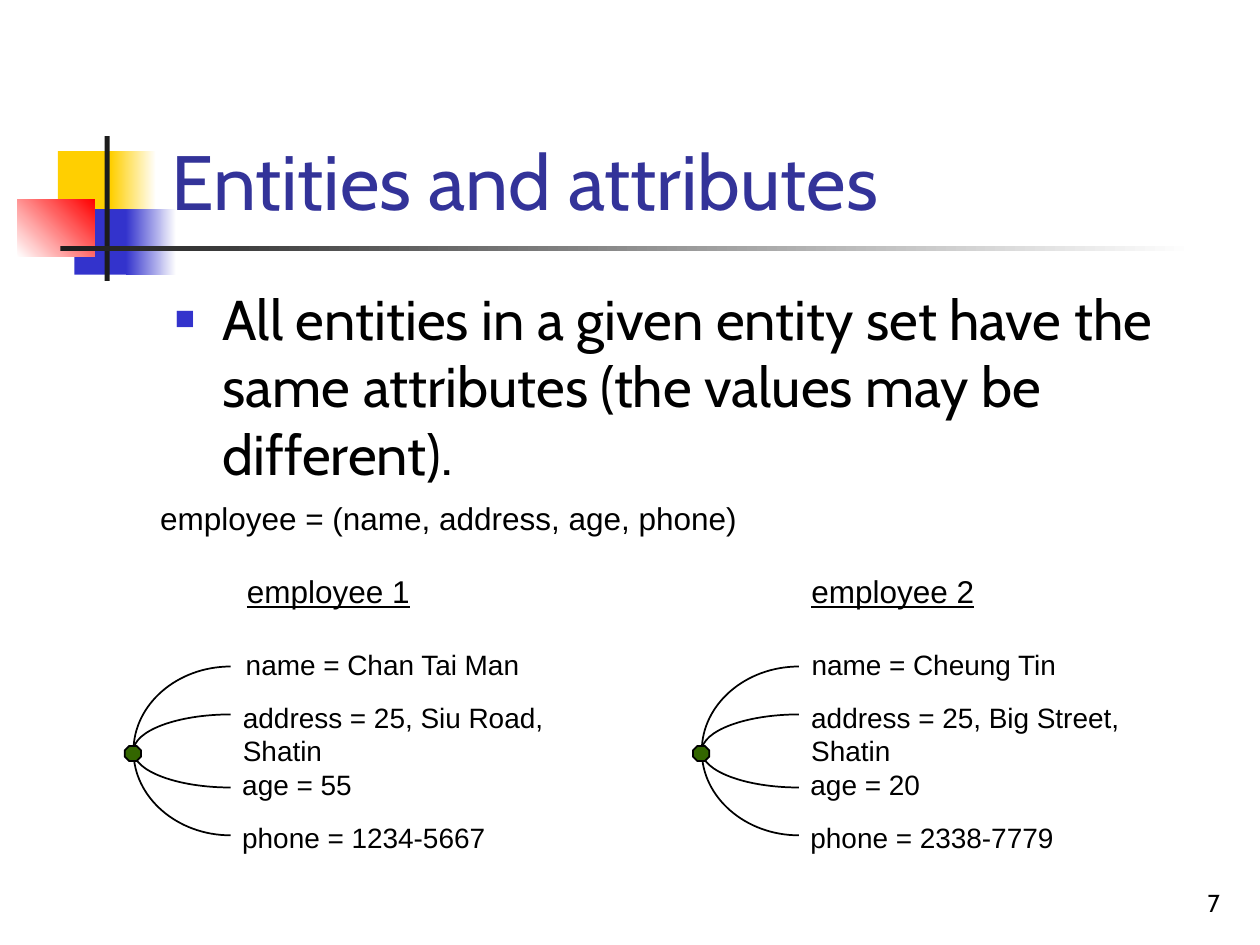
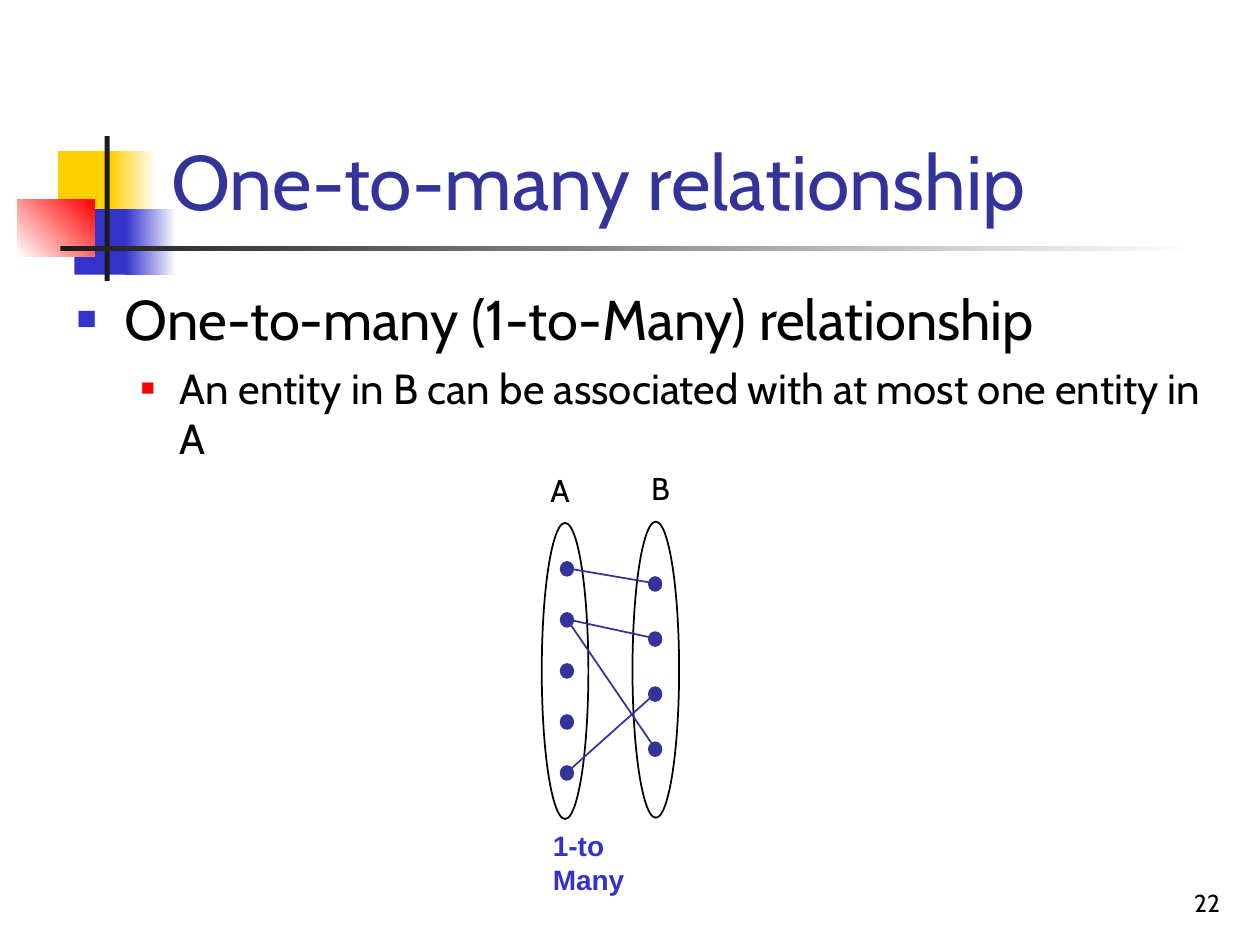
from lxml import etree
from pptx import Presentation
from pptx.dml.color import RGBColor
from pptx.enum.shapes import MSO_CONNECTOR, MSO_SHAPE
from pptx.enum.text import MSO_ANCHOR, MSO_AUTO_SIZE, PP_ALIGN
from pptx.oxml.ns import qn
from pptx.util import Inches, Pt

RECT, OVAL, OCTAGON = MSO_SHAPE.RECTANGLE, MSO_SHAPE.OVAL, MSO_SHAPE.OCTAGON
STRAIGHT = MSO_CONNECTOR.STRAIGHT
TOP, BOTTOM = MSO_ANCHOR.TOP, MSO_ANCHOR.BOTTOM
GROW = MSO_AUTO_SIZE.SHAPE_TO_FIT_TEXT
LEFT, CENTER, RIGHT = PP_ALIGN.LEFT, PP_ALIGN.CENTER, PP_ALIGN.RIGHT

BLACK = RGBColor(0x00, 0x00, 0x00)
WHITE = RGBColor(0xFF, 0xFF, 0xFF)
YELLOW = RGBColor(0xFF, 0xCF, 0x01)
BLUE = RGBColor(0x33, 0x33, 0xCC)
NAVY = RGBColor(0x33, 0x33, 0x99)
RED = RGBColor(0xFF, 0x00, 0x00)
DARK = RGBColor(0x1C, 0x1C, 0x1C)
GREEN = RGBColor(0x33, 0x66, 0x00)

HEAD_FONT, LABEL_FONT = "Cabin", "Arial"

# level: text size, left indent, hanging indent, bullet colour, bullet %, space before
LEVELS = [(32, 0.38, 0.38, BLUE, 60, 0), (24, 0.82, 0.31, RED, 55, 6)]

# attribute row: offset from the node, top, alignment
ROWS = [(0.76, 5.09, RIGHT), (0.77, 5.51, LEFT), (0.76, 6.04, RIGHT), (0.76, 6.46, RIGHT)]


def box(slide, x, y, w, h, kind=RECT, fill=None, line=None):
    shape = slide.shapes.add_shape(kind, Inches(x), Inches(y), Inches(w), Inches(h))
    shape.shadow.inherit = False
    if fill is None:
        shape.fill.background()
    else:
        shape.fill.solid()
        shape.fill.fore_color.rgb = fill
    outline(shape, line)
    return shape


def outline(shape, color):
    if color is None:
        shape.line.fill.background()
    else:
        shape.line.color.rgb = color
        shape.line.width = Pt(1)


def fade(slide, x, y, w, h, first, last, angle=0):
    """Rectangle with a two-colour gradient; the angle runs anticlockwise."""
    shape = box(slide, x, y, w, h)
    shape.fill.gradient()
    shape.fill.gradient_angle = angle
    for stop, color in zip(shape.fill.gradient_stops, (first, last)):
        stop.color.rgb = color


def style(para, size, font, color, bold=None, under=None):
    para.font.size = Pt(size)
    para.font.name = font
    para.font.color.rgb = color
    para.font.bold = bold
    para.font.underline = under


def frame(slide, x, y, w, h, anchor=TOP):
    text = slide.shapes.add_textbox(Inches(x), Inches(y), Inches(w), Inches(h)).text_frame
    text.word_wrap = True
    text.vertical_anchor = anchor
    return text


def label(slide, text, x, y, w, h, size, font=LABEL_FONT, color=BLACK, align=LEFT, **marks):
    """Text on one line, in a box that fits it."""
    area = frame(slide, x, y, w, h)
    area.word_wrap = False
    area.auto_size = GROW
    para = area.paragraphs[0]
    para.text = text
    para.alignment = align
    style(para, size, font, color, **marks)


def line_text(slide, text, x, y, w, h, size, color, align=LEFT):
    """One line of text that stands on the bottom of its box."""
    para = frame(slide, x, y, w, h, BOTTOM).paragraphs[0]
    para.text = text
    para.alignment = align
    style(para, size, HEAD_FONT, color)


def bullet(para, left, hang, color, percent):
    props = para._p.get_or_add_pPr()
    props.set("marL", str(Inches(left)))
    props.set("indent", str(-Inches(hang)))
    tint = etree.SubElement(props, qn("a:buClr"))
    etree.SubElement(tint, qn("a:srgbClr"), val=str(color))
    etree.SubElement(props, qn("a:buSzPct"), val=str(percent * 1000))
    etree.SubElement(props, qn("a:buFont"), typeface=LABEL_FONT)
    etree.SubElement(props, qn("a:buChar"), char="■")


def body(slide, x, w, lines):
    text = frame(slide, x, 2.21, w, 4.5)
    for level, words in enumerate(lines):
        para = text.add_paragraph() if level else text.paragraphs[0]
        size, left, hang, color, percent, before = LEVELS[level]
        para.text = words
        para.level = level
        bullet(para, left, hang, color, percent)
        para.space_before = Pt(before)
        style(para, size, HEAD_FONT, BLACK)


def base(deck, title, number):
    """New slide with the corner blocks, rules, title and page number."""
    slide = deck.slides.add_slide(deck.slide_layouts[6])
    box(slide, 0.46, 1.2, 0.48, 0.52, fill=YELLOW)
    fade(slide, 0.88, 1.2, 0.36, 0.52, YELLOW, WHITE)
    box(slide, 0.59, 1.66, 0.46, 0.52, fill=BLUE)
    fade(slide, 1, 1.66, 0.4, 0.52, BLUE, WHITE)
    fade(slide, 0.14, 1.58, 0.61, 0.46, WHITE, RED, 45)
    box(slide, 0.83, 1.08, 0.04, 1.15, fill=DARK)
    fade(slide, 0.48, 1.95, 9, 0.04, DARK, WHITE)
    line_text(slide, str(number), 7.7, 6.83, 2.08, 0.5, 14, BLACK, RIGHT)
    line_text(slide, title, 1.26, 0.24, 8.52, 1.6, 44, NAVY)
    return slide


def arc(slide, x, y, w, rise):
    """Quarter ellipse from (x, y) to (x + w, y - rise), as one curve."""
    bend = 0.55
    points = [(x, y - bend * rise), (x + w * (1 - bend), y - rise), (x + w, y - rise)]
    path = slide.shapes.build_freeform(Inches(x), Inches(y))
    path.add_line_segments([(Inches(a), Inches(b)) for a, b in points], close=False)
    shape = path.convert_to_shape()
    track = shape._element.spPr.find(".//" + qn("a:path"))
    curve = etree.SubElement(track, qn("a:cubicBezTo"))
    for step in track.findall(qn("a:lnTo")):
        curve.append(step[0])
        track.remove(step)
    shape.shadow.inherit = False
    shape.fill.background()
    outline(shape, BLACK)


def entity(slide, x, head, head_x, facts):
    """An entity node with arcs to its attribute values."""
    for rise in (0.67, -0.67, 0.29, -0.29):
        arc(slide, x, 5.96, 0.77, rise)
    box(slide, x - 0.07, 5.92, 0.13, 0.12, OCTAGON, GREEN, BLACK)
    for (text, width), (shift, top, align) in zip(facts, ROWS):
        label(slide, text, x + shift, top, width, 0.37, 16, align=align)
    label(slide, head, head_x, 4.49, 1.49, 0.4, 18, align=CENTER, under=True)


def link(slide, start, end):
    line = slide.shapes.add_connector(STRAIGHT, *(Inches(v) for v in start + end))
    outline(line, NAVY)
    etree.SubElement(line._element.spPr, qn("a:effectLst"))


def dot(slide, x, y):
    box(slide, x - 0.05, y - 0.05, 0.1, 0.11, OVAL, NAVY, NAVY)


def entities(deck):
    slide = base(deck, "Entities and attributes", 7)
    body(slide, 1.29, 8.5, ["All entities in a given entity set have the same "
                            "attributes (the values may be different)."])
    label(slide, "employee = (name, address, age, phone)", 1.17, 3.91, 4.78, 0.4, 18,
          align=CENTER)
    entity(slide, 1.06, "employee 1", 1.86, [
        ("name = Chan Tai Man", 2.4), ("address = 25, Siu Road, Shatin", 3.27),
        ("age = 55", 1.07), ("phone = 1234-5667", 2.13)])
    entity(slide, 5.57, "employee 2", 6.34, [
        ("name = Cheung Tin", 2.15), ("address = 25, Big Street, Shatin", 3.33),
        ("age = 20", 1.07), ("phone = 2338-7779", 2.13)])


def relation(deck):
    slide = base(deck, "One-to-many relationship", 22)
    body(slide, 0.51, 9.28, [
        "One-to-many (1-to-Many) relationship",
        "An entity in B can be associated with at most one entity in A"])
    box(slide, 4.3, 4.15, 0.37, 2.35, OVAL, line=BLACK)
    box(slide, 5.02, 4.14, 0.37, 2.35, OVAL, line=BLACK)
    label(slide, "1-to Many", 4.29, 6.53, 1.23, 0.36, 16, color=BLUE, bold=True)
    set_a = [(4.5, 4.51 + 0.405 * i) for i in range(5)]
    set_b = [(5.2, 4.63 + 0.437 * i) for i in range(4)]
    for a, b in ((0, 0), (1, 1), (1, 3), (4, 2)):
        link(slide, set_a[a], set_b[b])
    for x, y in set_a + set_b:
        dot(slide, x, y)
    label(slide, "A", 4.27, 3.69, 0.36, 0.4, 18, HEAD_FONT)
    label(slide, "B", 5.07, 3.67, 0.36, 0.4, 18, HEAD_FONT)


def main():
    deck = Presentation()
    deck.slide_width, deck.slide_height = Inches(10), Inches(7.5)
    entities(deck)
    relation(deck)
    deck.save("out.pptx")


if __name__ == "__main__":
    main()
